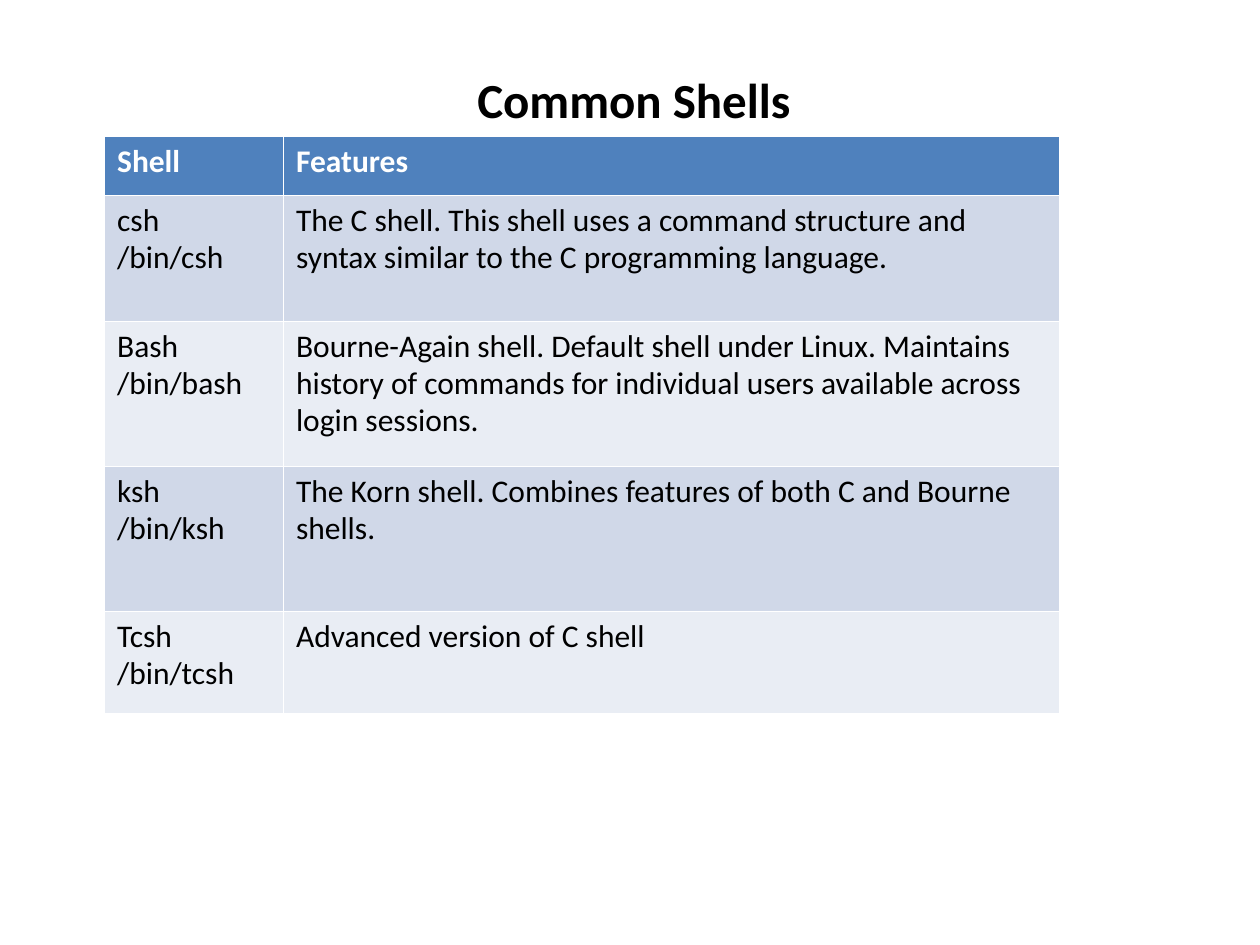
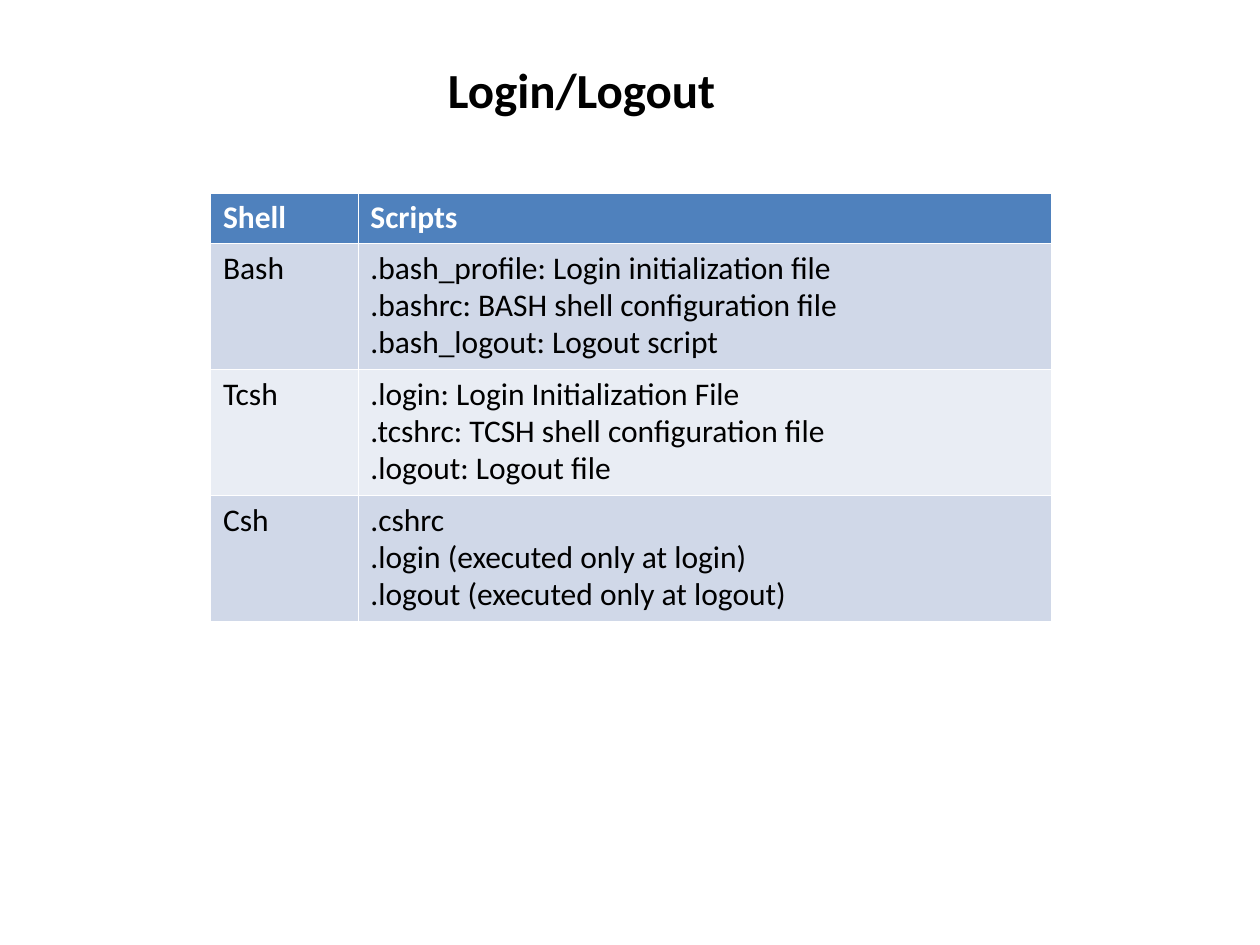
import pptx
import pptx.util
import pptx.dml.color
import pptx.enum.text
import pptx.oxml
import pptx.oxml.ns

Inches = pptx.util.Inches
Pt = pptx.util.Pt
RGBColor = pptx.dml.color.RGBColor

FONT = "Calibri"
BLACK = RGBColor(0x00, 0x00, 0x00)
WHITE = RGBColor(0xFF, 0xFF, 0xFF)
HEADER = RGBColor(0x4F, 0x81, 0xBD)
BANDS = [RGBColor(0xE9, 0xED, 0xF4), RGBColor(0xD0, 0xD8, 0xE8)]
THIN, THICK = 0.23, 0.75

SLIDES = [
    {
        "title": "Common Shells",
        "title_box": (3.69, 0.5, 2.68, 1.04),
        "table_pos": (0.83, 1.08),
        "cols": [1.42, 6.16],
        "heights": [0.47, 1, 1.15, 1.15, 0.81],
        "rows": [
            (["Shell"], ["Features"]),
            (["csh", "/bin/csh"],
             ["The C shell. This shell uses a command structure and syntax "
              "similar to the C programming language."]),
            (["Bash", "/bin/bash"],
             ["Bourne-Again shell. Default shell under Linux. Maintains history "
              "of commands for individual users available across login sessions."]),
            (["ksh", "/bin/ksh"],
             ["The Korn shell. Combines features of both C and Bourne", "shells."]),
            (["Tcsh", "/bin/tcsh"], ["Advanced version of C shell"]),
        ],
    },
    {
        "title": "Login/Logout",
        "title_box": (3.45, 0.42, 2.33, 0.57),
        "table_pos": (1.67, 1.53),
        "cols": [1.17, 5.5],
        "heights": [0.4, 1, 1, 1],
        "rows": [
            (["Shell"], ["Scripts"]),
            (["Bash"],
             [".bash_profile: Login initialization file",
              ".bashrc: BASH shell configuration file",
              ".bash_logout: Logout script"]),
            (["Tcsh"],
             [".login: Login Initialization File",
              ".tcshrc: TCSH shell configuration file",
              ".logout: Logout file"]),
            (["Csh"],
             [".cshrc",
              ".login (executed only at login)",
              ".logout (executed only at logout)"]),
        ],
    },
]


def add_run(p, text, size, color, bold):
    r = p.add_run()
    r.text = text
    r.font.name = FONT
    r.font.size = Pt(size)
    r.font.bold = bold
    r.font.color.rgb = color


def set_borders(cell, row):
    widths = {
        "lnL": THIN,
        "lnR": THIN,
        "lnT": THICK if row == 1 else THIN,
        "lnB": THICK if row == 0 else THIN,
    }
    tcPr = cell._tc.get_or_add_tcPr()
    for i, (tag, width) in enumerate(widths.items()):
        tcPr.insert(i, pptx.oxml.parse_xml(
            f'<a:{tag} {pptx.oxml.ns.nsdecls("a")} w="{int(Pt(width))}">'
            f'<a:solidFill><a:srgbClr val="{WHITE}"/></a:solidFill></a:{tag}>'))


prs = pptx.Presentation()
prs.slide_width = Inches(10)
prs.slide_height = Inches(7.5)

for data in SLIDES:
    s = prs.slides.add_slide(prs.slide_layouts[5])

    sp = s.shapes.title
    sp.left, sp.top, sp.width, sp.height = [Inches(v) for v in data["title_box"]]
    tf = sp.text_frame
    tf.word_wrap = False
    tf.auto_size = pptx.enum.text.MSO_AUTO_SIZE.NONE
    tf.vertical_anchor = pptx.enum.text.MSO_ANCHOR.TOP
    tf.margin_left = tf.margin_right = Inches(0)
    p = tf.paragraphs[0]
    p.alignment = pptx.enum.text.PP_ALIGN.CENTER
    add_run(p, data["title"], 28, BLACK, True)

    left, top = data["table_pos"]
    cols, heights = data["cols"], data["heights"]
    table = s.shapes.add_table(
        len(heights), len(cols), Inches(left), Inches(top),
        Inches(sum(cols)), Inches(sum(heights))).table
    table.first_row = False
    table.horz_banding = False
    for column, width in zip(table.columns, cols):
        column.width = Inches(width)

    for i, (height, texts) in enumerate(zip(heights, data["rows"])):
        table.rows[i].height = Inches(height)
        is_header = i == 0
        for j, lines in enumerate(texts):
            cell = table.cell(i, j)
            cell.fill.solid()
            cell.fill.fore_color.rgb = HEADER if is_header else BANDS[i % 2]
            set_borders(cell, i)
            tf = cell.text_frame
            for k, line in enumerate(lines):
                p = tf.add_paragraph() if k else tf.paragraphs[0]
                p.line_spacing = 0.97
                add_run(p, line, 18, WHITE if is_header else BLACK, is_header)

prs.save("out.pptx")
